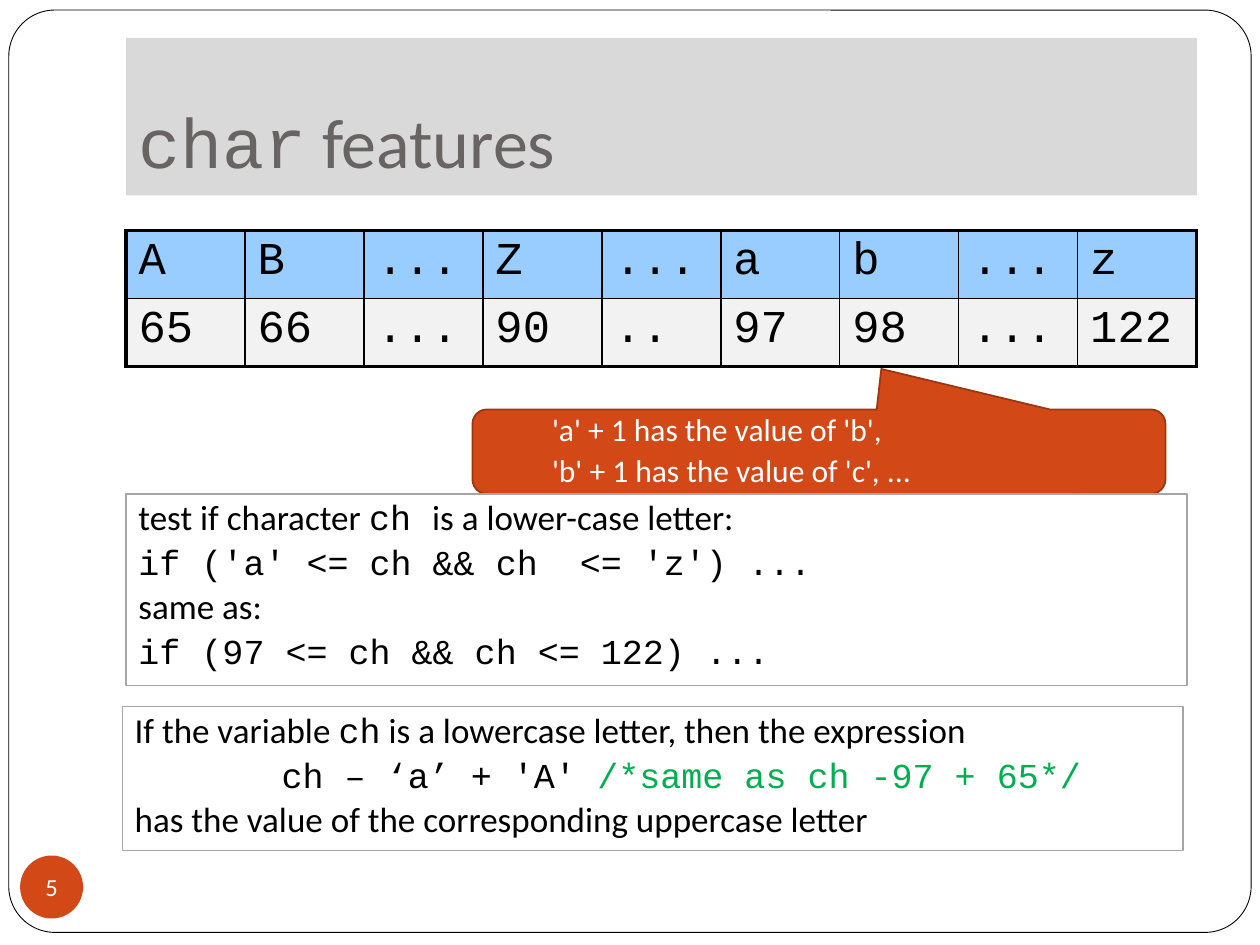
import dataclasses
import typing

import lxml.etree
import pptx
import pptx.dml.color
import pptx.enum.shapes
import pptx.enum.text
import pptx.oxml.ns
import pptx.util

Inches = pptx.util.Inches
Pt = pptx.util.Pt
Shape = pptx.enum.shapes.MSO_SHAPE
Anchor = pptx.enum.text.MSO_ANCHOR
Align = pptx.enum.text.PP_ALIGN

COLORS = {
    "white": "FFFFFF",
    "black": "000000",
    "title": "696464",
    "band": "D9D9D9",
    "accent": "D34817",
    "accent edge": "9C3511",
    "box edge": "A6A6A6",
    "comment": "00B050",
    "letters": "99CCFF",
    "codes": "F2F2F2",
}
TEXT = "Calibri"
CODE = "Courier New"
THICK, THIN = 2.25, 1


@dataclasses.dataclass
class Span:
    text: str
    font: str = TEXT
    color: str = "black"


@dataclasses.dataclass
class Box:
    shape: typing.Any
    at: tuple
    lines: list
    size: float = 20
    fill: str | None = None
    edge: str | None = None
    edge_width: float = 0.75
    adjustments: tuple = ()
    anchor: typing.Any = Anchor.TOP
    align: typing.Any = Align.LEFT
    line_spacing: float = 0.9
    indent: float = 0
    tab: float | None = None
    margins: tuple = (0.1, 0.05, 0.1, 0.05)


FRAME = Box(Shape.ROUNDED_RECTANGLE, (0.07, 0.08, 9.86, 7.32), [], fill="white",
            edge="black", edge_width=0.5, adjustments=(0.05,))
TITLE = Box(None, (1, 0.3, 8.5, 1.25),
            [[Span("char", CODE, "title"), Span(" features", TEXT, "title")]],
            size=40, fill="band", anchor=Anchor.BOTTOM, line_spacing=1,
            margins=(0.1, 0.05, 0.1, 0.1))
BOXES = [
    Box(Shape.OVAL, (0.16, 6.79, 0.5, 0.5), [[Span("5", TEXT, "white")]], size=14,
        fill="accent", anchor=Anchor.MIDDLE, align=Align.CENTER, line_spacing=1,
        margins=(0, 0, 0, 0)),
    Box(Shape.ROUNDED_RECTANGULAR_CALLOUT, (3.75, 3.25, 5.5, 0.67),
        [[Span("'a' + 1 has the value of 'b',", TEXT, "white")],
         [Span("'b' + 1 has the value of 'c', ...", TEXT, "white")]],
        size=18, fill="accent", edge="accent edge", edge_width=1,
        adjustments=(0.09, -0.98, 0.17), anchor=Anchor.MIDDLE, indent=0.5),
    Box(Shape.RECTANGLE, (1, 3.92, 8.42, 1.52),
        [[Span("test if character "), Span("ch ", CODE), Span("is a lower-case letter:")],
         [Span("if ('a' <= ch && ch  <= 'z') ...", CODE)],
         [Span("same as:")],
         [Span("if (97 <= ch && ch <= 122) ...", CODE)]],
        edge="box edge"),
    Box(Shape.RECTANGLE, (0.97, 5.61, 8.42, 1.14),
        [[Span("If the variable "), Span("ch", CODE),
          Span(" is a lowercase letter, then the expression")],
         [Span("\t ch – ‘a’ + 'A' ", CODE),
          Span("/*same as ch -97 + 65*/", CODE, "comment")],
         [Span("has the value of the corresponding uppercase letter")]],
        edge="box edge", tab=1),
]
TABLE_AT = (1, 1.83, 8.5, 1.08)
ROWS = {
    "letters": ["A", "B", "...", "Z", "...", "a", "b", "...", "z"],
    "codes": ["65", "66", "...", "90", "..", "97", "98", "...", "122"],
}


def rgb(name: str) -> pptx.dml.color.RGBColor:
    return pptx.dml.color.RGBColor.from_string(COLORS[name])


def set_attributes(target: typing.Any, values: dict) -> None:
    for name, value in values.items():
        setattr(target, name, value)


def add_span(para: typing.Any, span: Span, size: float) -> None:
    run = para.add_run()
    run.text = span.text
    set_attributes(run.font, {"name": span.font, "size": Pt(size)})
    run.font.color.rgb = rgb(span.color)


def add_child(parent: typing.Any, tag: str, **values: str) -> typing.Any:
    return lxml.etree.SubElement(parent, pptx.oxml.ns.qn(tag), **values)


def write_lines(frame: typing.Any, box: Box) -> None:
    left, top, right, bottom = map(Inches, box.margins)
    set_attributes(frame, {
        "word_wrap": True, "vertical_anchor": box.anchor,
        "margin_left": left, "margin_top": top,
        "margin_right": right, "margin_bottom": bottom,
    })
    for index, line in enumerate(box.lines):
        para = frame.add_paragraph() if index else frame.paragraphs[0]
        set_attributes(para, {
            "alignment": box.align, "line_spacing": box.line_spacing,
            "space_before": Pt(0.2 * box.size if index else 0),
        })
        properties = para._p.get_or_add_pPr()
        if box.indent:
            properties.set("marL", str(Inches(box.indent)))
        if box.tab:
            stops = add_child(properties, "a:tabLst")
            add_child(stops, "a:tab", pos=str(Inches(box.tab)), algn="l")
        for span in line:
            add_span(para, span, box.size)


def format_box(shape: typing.Any, box: Box) -> None:
    if box.fill:
        shape.fill.solid()
        shape.fill.fore_color.rgb = rgb(box.fill)
    else:
        shape.fill.background()
    if box.edge:
        shape.line.color.rgb = rgb(box.edge)
        shape.line.width = Pt(box.edge_width)
    else:
        shape.line.fill.background()
    write_lines(shape.text_frame, box)


def add_box(page: typing.Any, box: Box) -> typing.Any:
    shape = page.shapes.add_shape(box.shape, *map(Inches, box.at))
    shape.shadow.inherit = False
    for index, value in enumerate(box.adjustments):
        shape.adjustments[index] = value
    format_box(shape, box)
    return shape


def add_border(cell: typing.Any, side: str, width: float) -> None:
    line = add_child(cell._tc.get_or_add_tcPr(), f"a:ln{side}", w=str(Pt(width)))
    add_child(add_child(line, "a:solidFill"), "a:srgbClr", val=COLORS["black"])


def add_code_table(page: typing.Any) -> None:
    row_count, column_count = len(ROWS), len(ROWS["letters"])
    table = page.shapes.add_table(row_count, column_count, *map(Inches, TABLE_AT)).table
    for row, (fill, values) in enumerate(ROWS.items()):
        for column, value in enumerate(values):
            cell = table.cell(row, column)
            outer = {"L": column == 0, "R": column == column_count - 1,
                     "T": row == 0, "B": row == row_count - 1}
            for side, is_outer in outer.items():
                add_border(cell, side, THICK if is_outer else THIN)
            cell.fill.solid()
            cell.fill.fore_color.rgb = rgb(fill)
            add_span(cell.text_frame.paragraphs[0], Span(value, CODE), 26)


def main() -> None:
    deck = pptx.Presentation()
    set_attributes(deck, {"slide_width": Inches(10), "slide_height": Inches(7.5)})
    page = deck.slides.add_slide(deck.slide_layouts[5])
    title = page.shapes.title
    set_attributes(title, dict(zip(("left", "top", "width", "height"),
                                   map(Inches, TITLE.at))))
    format_box(title, TITLE)
    title.element.addprevious(add_box(page, FRAME).element)
    add_code_table(page)
    for box in BOXES:
        add_box(page, box)
    deck.save("out.pptx")


if __name__ == "__main__":
    main()
